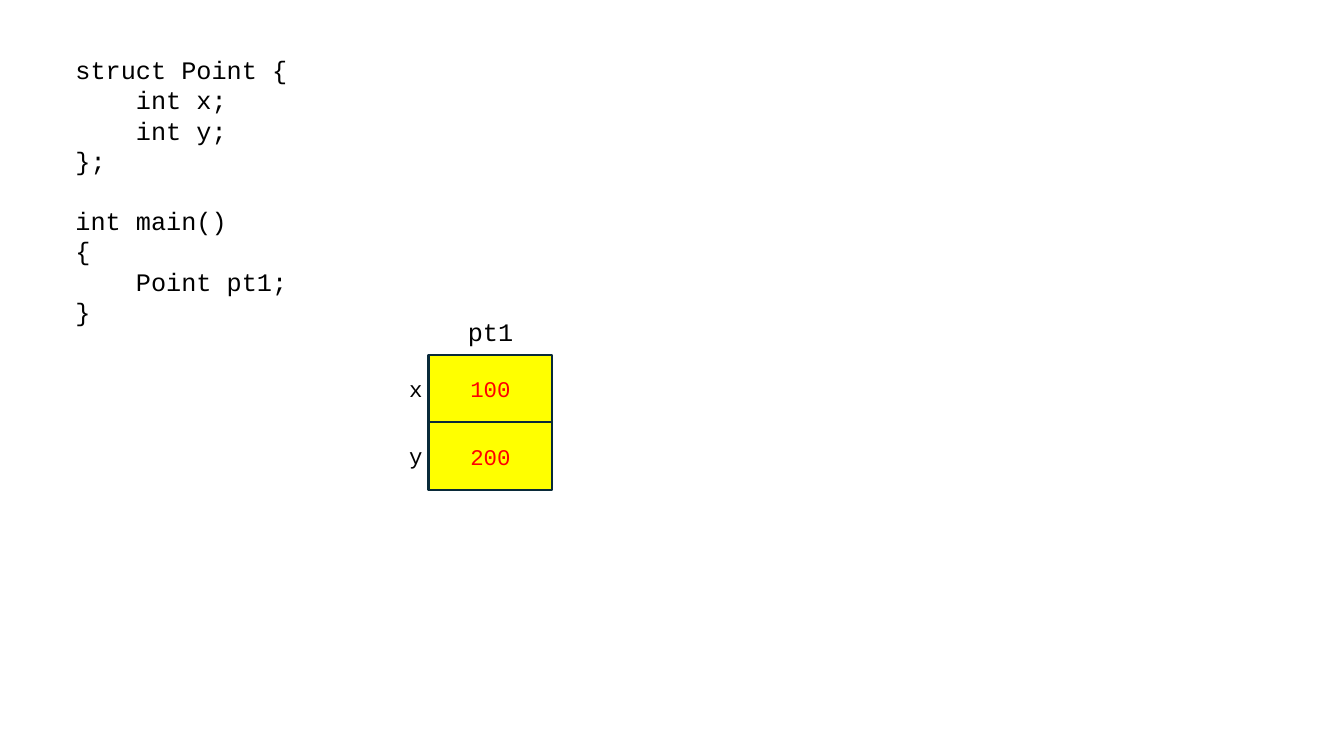
from dataclasses import dataclass

from pptx import Presentation
from pptx.dml.color import RGBColor
from pptx.enum.shapes import MSO_SHAPE
from pptx.enum.text import MSO_ANCHOR, MSO_AUTO_SIZE, PP_ALIGN
from pptx.slide import Slide
from pptx.text.text import _Paragraph
from pptx.util import Inches, Pt

BLACK = RGBColor(0x00, 0x00, 0x00)
RED = RGBColor(0xFF, 0x00, 0x00)
YELLOW = RGBColor(0xFF, 0xFF, 0x00)
NAVY = RGBColor(0x09, 0x2A, 0x39)
FONT = "Courier New"
CODE_SIZE, CELL_SIZE = 18, 16

# Memory cells are stacked edge to edge
CELL_LEFT, CELL_TOP, CELL_WIDTH, CELL_HEIGHT = 4.25, 3.52, 1.23, 0.67
INDENT = 0.6  # four characters of code


@dataclass
class CodeLine:
    text: str
    level: int = 0
    gap_before: float = 0


@dataclass
class Member:
    name: str
    value: str


CODE = [
    CodeLine("struct Point {"),
    CodeLine("int x;", level=1),
    CodeLine("int y;", level=1),
    CodeLine("};"),
    CodeLine("int main()", gap_before=21.5),
    CodeLine("{"),
    CodeLine("Point pt1;", level=1),
    CodeLine("}"),
]
MEMBERS = [Member("x", "100"), Member("y", "200")]


def set_font(p: _Paragraph, size: float, color: RGBColor) -> None:
    p.font.name = FONT
    p.font.size = Pt(size)
    p.font.color.rgb = color


def add_text(s: Slide, left: float, top: float, width: float, height: float,
             lines: list[CodeLine], size: float, align: PP_ALIGN) -> None:
    sp = s.shapes.add_textbox(Inches(left), Inches(top), Inches(width), Inches(height))
    tf = sp.text_frame
    tf.word_wrap = True
    tf.auto_size = MSO_AUTO_SIZE.SHAPE_TO_FIT_TEXT
    for i, line in enumerate(lines):
        p = tf.add_paragraph() if i else tf.paragraphs[0]
        p.text = line.text
        p.alignment = align
        set_font(p, size, BLACK)
        if line.gap_before:
            p.space_before = Pt(line.gap_before)
        if line.level:
            p_pr = p._p.get_or_add_pPr()
            p_pr.set("marL", str(Inches(line.level * INDENT)))
            p_pr.set("indent", "0")


def add_cell(s: Slide, top: float, member: Member) -> None:
    sp = s.shapes.add_shape(MSO_SHAPE.RECTANGLE, Inches(CELL_LEFT), Inches(top),
                            Inches(CELL_WIDTH), Inches(CELL_HEIGHT))
    sp.shadow.inherit = False
    sp.fill.solid()
    sp.fill.fore_color.rgb = YELLOW
    sp.line.color.rgb = NAVY
    sp.line.width = Pt(1.5)
    tf = sp.text_frame
    tf.vertical_anchor = MSO_ANCHOR.MIDDLE
    p = tf.paragraphs[0]
    p.text = member.value
    p.alignment = PP_ALIGN.CENTER
    set_font(p, CELL_SIZE, RED)
    add_text(s, 3.96, top + 0.15, 0.26, 0.37, [CodeLine(member.name)],
             CELL_SIZE, PP_ALIGN.CENTER)


def main() -> None:
    prs = Presentation()
    prs.slide_width, prs.slide_height = Inches(13.33), Inches(7.5)
    s = prs.slides.add_slide(prs.slide_layouts[6])

    # Source code
    add_text(s, 0.65, 0.49, 6.67, 2.83, CODE, CODE_SIZE, PP_ALIGN.LEFT)

    # Struct members in memory
    for i, member in enumerate(MEMBERS):
        add_cell(s, CELL_TOP + i * CELL_HEIGHT, member)

    # Variable name above the cells
    add_text(s, 4.37, 3.09, 0.99, 0.4, [CodeLine("pt1")], CODE_SIZE, PP_ALIGN.CENTER)

    prs.save("out.pptx")


if __name__ == "__main__":
    main()
